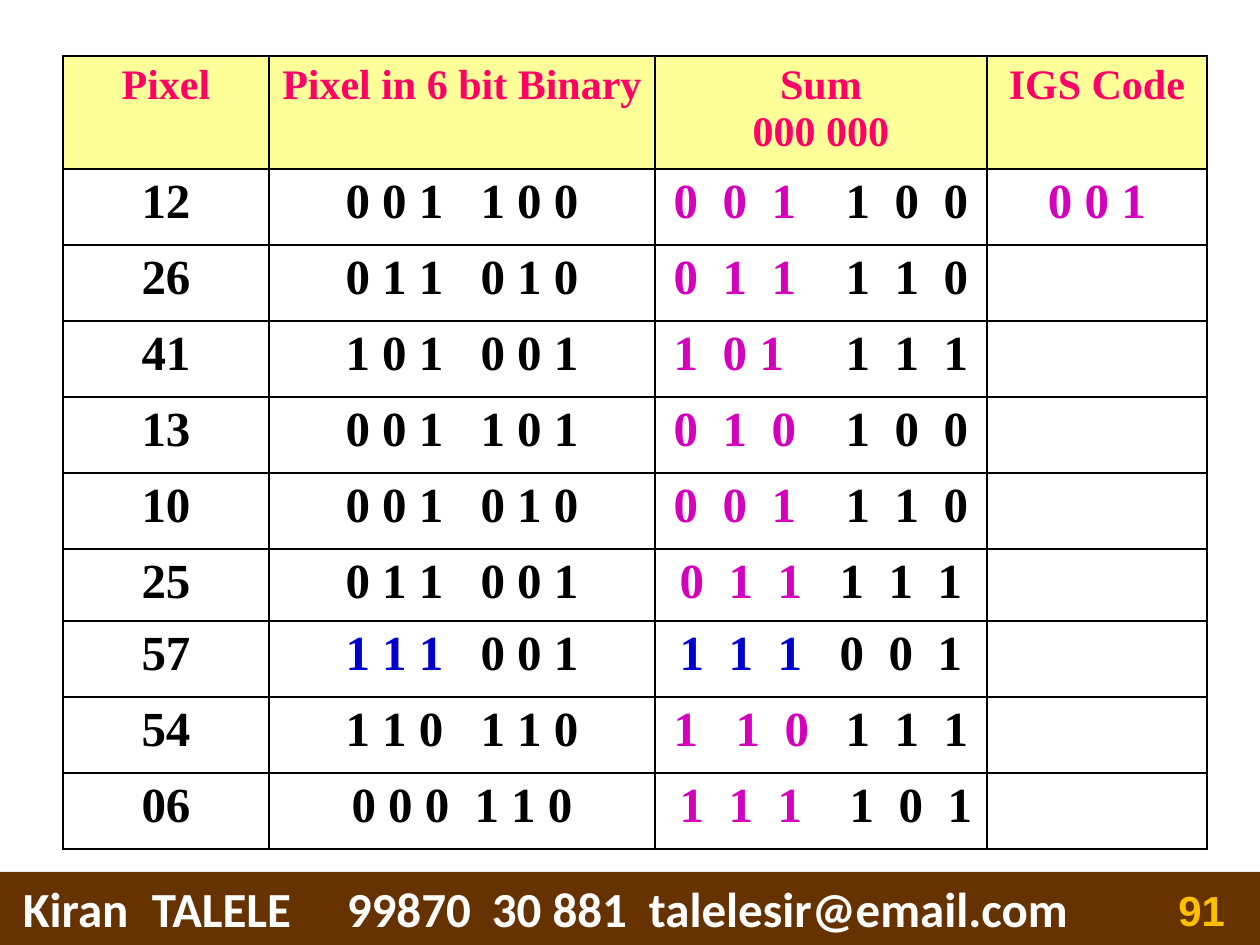
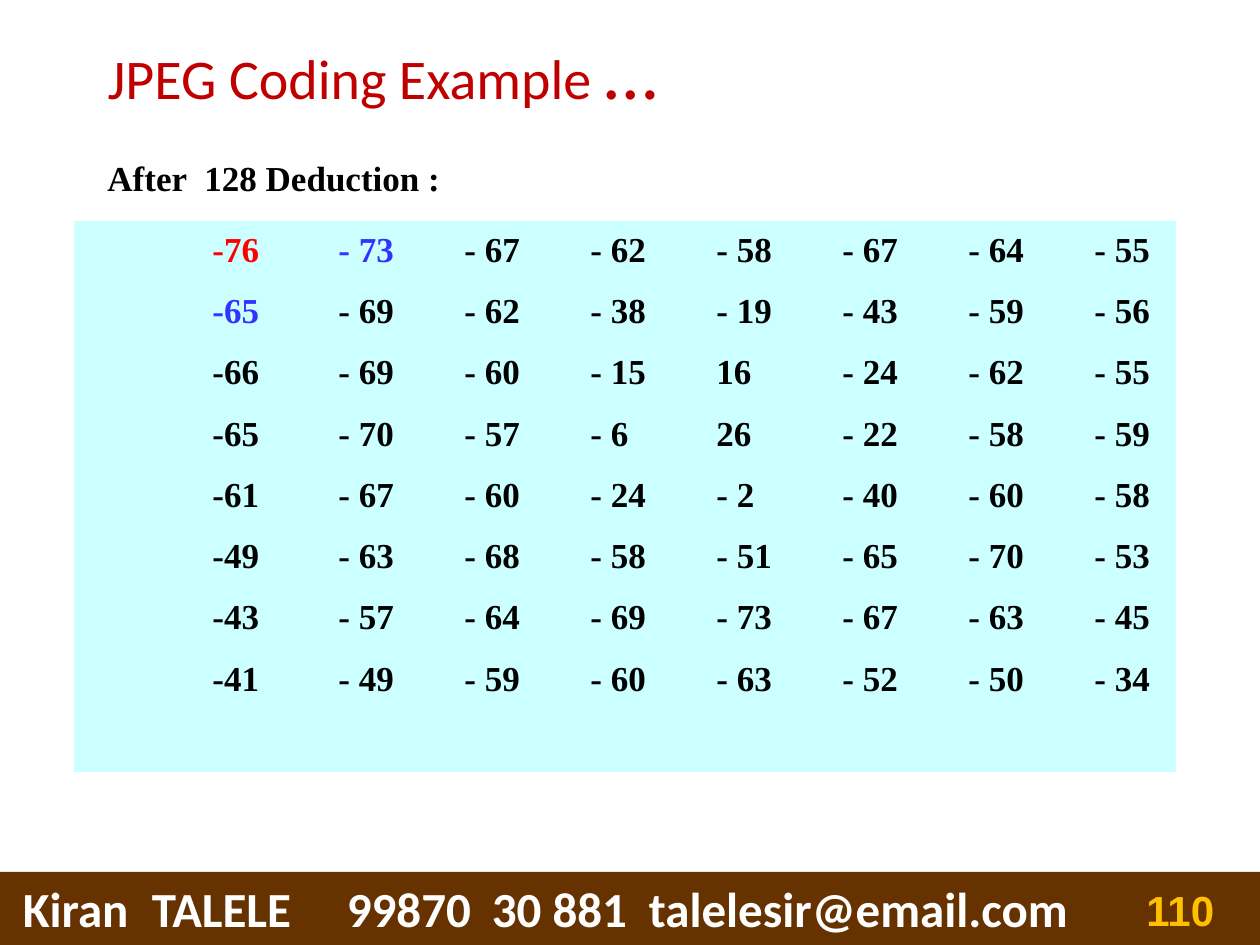
from lxml.etree import SubElement
from pptx import Presentation
from pptx.dml.color import RGBColor
from pptx.enum.shapes import MSO_SHAPE
from pptx.enum.text import MSO_ANCHOR, MSO_AUTO_SIZE, PP_ALIGN
from pptx.oxml.ns import qn
from pptx.util import Pt

SCALE = 914400 / 126  # EMU per px
COLORS = {
    "band": "663300", "footer": "FFFFFF", "number": "FFC000",
    "title": "C00000", "text": "000000", "panel": "CCFFFF",
    "header": "FF0066", "header_fill": "FFFF99",
    "carried": "D300BE", "unchanged": "0000CC",
    "dc": "FF0000", "neighbour": "3333FF",
}
SERIF = "Times New Roman"


def px(*lengths):
    return [round(length * SCALE) for length in lengths]


def write(paragraph, text, size=20, color="text", font=SERIF, bold=True,
          align=PP_ALIGN.LEFT, stops=()):
    """Append one formatted run; stops are tab positions in px."""
    paragraph.alignment = align
    if stops:
        tabs = SubElement(paragraph._p.get_or_add_pPr(), qn("a:tabLst"))
        for stop in px(*stops):
            SubElement(tabs, qn("a:tab"), pos=str(stop), algn="l")
    run = paragraph.add_run()
    run.text = text
    run.font.size = Pt(size)
    run.font.name = font
    run.font.bold = bold
    run.font.color.rgb = RGBColor.from_string(COLORS[color])


prs = Presentation()
prs.slide_width, prs.slide_height = px(1260, 945)
code_slide = prs.slides.add_slide(prs.slide_layouts[6])
jpeg_slide = prs.slides.add_slide(prs.slide_layouts[5])

# IGS code table
COLUMNS = [206, 386, 332, 220]
ROWS = [113] + [76] * 5 + [72] + [76] * 3
HEADERS = ["Pixel", "Pixel in 6 bit Binary", "Sum\n000 000", "IGS Code"]
BINARY_STOPS = [64, 199]
SUM_STOPS = [6, 55, 104, 178, 227, 276]
TIGHT_STOPS = [12, 61, 110, 172, 221, 270]
PIXELS = [  # pixel, binary, sum, sum stops
    ("12", "001100", "001100", SUM_STOPS),
    ("26", "011010", "011110", SUM_STOPS),
    ("41", "101001", "101111", [6, 55, 92, 178, 227, 276]),
    ("13", "001101", "010100", SUM_STOPS),
    ("10", "001010", "001110", SUM_STOPS),
    ("25", "011001", "011111", TIGHT_STOPS),
    ("57", "111001", "111001", TIGHT_STOPS),
    ("54", "110110", "110111", [6, 68, 117, 178, 227, 276]),
    ("06", "000110", "111101", [12, 61, 110, 182, 231, 280]),
]
codes = code_slide.shapes.add_table(
    len(ROWS), len(COLUMNS), *px(63, 56, sum(COLUMNS), sum(ROWS))).table
codes.first_row = codes.horz_banding = False
for column, width in zip(codes.columns, px(*COLUMNS)):
    column.width = width
for row, height in zip(codes.rows, px(*ROWS)):
    row.height = height

for cell in codes.iter_cells():
    borders = cell._tc.get_or_add_tcPr()
    for side in ("lnL", "lnR", "lnT", "lnB"):
        line = SubElement(borders, qn(f"a:{side}"), w=str(Pt(1)))
        line_fill = SubElement(line, qn("a:solidFill"))
        SubElement(line_fill, qn("a:srgbClr"), val=COLORS["text"])
    cell.fill.background()

for cell, header in zip(codes.rows[0].cells, HEADERS):
    cell.fill.solid()
    cell.fill.fore_color.rgb = RGBColor.from_string(COLORS["header_fill"])
    for number, part in enumerate(header.split("\n")):
        frame = cell.text_frame
        paragraph = frame.add_paragraph() if number else frame.paragraphs[0]
        write(paragraph, part, 24, "header", align=PP_ALIGN.CENTER)

for row, (pixel, binary, total, sum_stops) in enumerate(PIXELS, 1):
    pixel_par, binary_par, sum_par = (
        codes.cell(row, column).text_frame.paragraphs[0] for column in range(3))
    kept = pixel == "57"
    binary_stops = [70, 193] if pixel == "06" else BINARY_STOPS
    write(pixel_par, pixel, 28, align=PP_ALIGN.CENTER)
    write(binary_par, "\t" + " ".join(binary[:3]), 28,
          "unchanged" if kept else "text", stops=binary_stops)
    write(binary_par, "\t" + " ".join(binary[3:]), 28)
    write(sum_par, "\t" + "\t".join(total[:3]), 28,
          "unchanged" if kept else "carried", stops=sum_stops)
    write(sum_par, "\t" + "\t".join(total[3:]), 28)
write(codes.cell(1, 3).text_frame.paragraphs[0], "0 0 1", 28, "carried",
      align=PP_ALIGN.CENTER)

# JPEG title and caption
title = jpeg_slide.shapes.title
title.left, title.top, title.width, title.height = px(95, 21, 1040, 95)
title.text_frame.auto_size = MSO_AUTO_SIZE.NONE
title.text_frame.vertical_anchor = MSO_ANCHOR.MIDDLE
for text, size in (("JPEG Coding Example ", 32), ("…", 44)):
    write(title.text_frame.paragraphs[0], text, size, "title", "Calibri", False)

caption = jpeg_slide.shapes.add_textbox(*px(95, 150, 399, 55)).text_frame
caption.word_wrap = True
write(caption.paragraphs[0], "After\t128 Deduction :", stops=[97])

# Level-shifted 8 x 8 block
LEVELS = [
    ["-76", "- 73", "- 67", "- 62", "- 58", "- 67", "- 64", "- 55"],
    ["-65", "- 69", "- 62", "- 38", "- 19", "- 43", "- 59", "- 56"],
    ["-66", "- 69", "- 60", "- 15", "16", "- 24", "- 62", "- 55"],
    ["-65", "- 70", "- 57", "- 6", "26", "- 22", "- 58", "- 59"],
    ["-61", "- 67", "- 60", "- 24", "- 2", "- 40", "- 60", "- 58"],
    ["-49", "- 63", "- 68", "- 58", "- 51", "- 65", "- 70", "- 53"],
    ["-43", "- 57", "- 64", "- 69", "- 73", "- 67", "- 63", "- 45"],
    ["-41", "- 49", "- 59", "- 60", "- 63", "- 52", "- 50", "- 34"],
]
MARKED = {(0, 0): "dc", (0, 1): "neighbour", (1, 0): "neighbour"}
LEVEL_STOPS = [126 * step for step in range(1, 9)]
block = jpeg_slide.shapes.add_shape(MSO_SHAPE.RECTANGLE, *px(74, 221, 1102, 551))
block.shadow.inherit = False
block.fill.solid()
block.fill.fore_color.rgb = RGBColor.from_string(COLORS["panel"])
block.line.fill.background()
block.text_frame.vertical_anchor = MSO_ANCHOR.TOP
for row, levels in enumerate(LEVELS):
    if row:
        paragraph = block.text_frame.add_paragraph()
        paragraph.space_before = Pt(11)
    else:
        paragraph = block.text_frame.paragraphs[0]
    for column, level in enumerate(levels):
        write(paragraph, "\t" + level, color=MARKED.get((row, column), "text"),
              stops=() if column else LEVEL_STOPS)

# Footer band and page number
CONTACT = "Kiran\tTALELE\t99870\t30 881\ttalelesir@email.com"
for slide, page, page_left in ((code_slide, "91", 1166), (jpeg_slide, "110", 1134)):
    band = slide.shapes.add_shape(MSO_SHAPE.RECTANGLE, *px(0, 872, 1260, 73))
    band.shadow.inherit = False
    band.fill.solid()
    band.fill.fore_color.rgb = RGBColor.from_string(COLORS["band"])
    band.line.fill.background()
    band.text_frame.vertical_anchor = MSO_ANCHOR.TOP
    band.text_frame.margin_left = px(23)[0]
    write(band.text_frame.paragraphs[0], CONTACT, 28, "footer", "Calibri",
          stops=[129, 324, 469, 626])
    page_box = slide.shapes.add_textbox(*px(page_left, 878, 1250 - page_left, 67))
    page_box.text_frame.word_wrap = True
    write(page_box.text_frame.paragraphs[0], page, 24, "number", "Arial")

prs.save("out.pptx")
